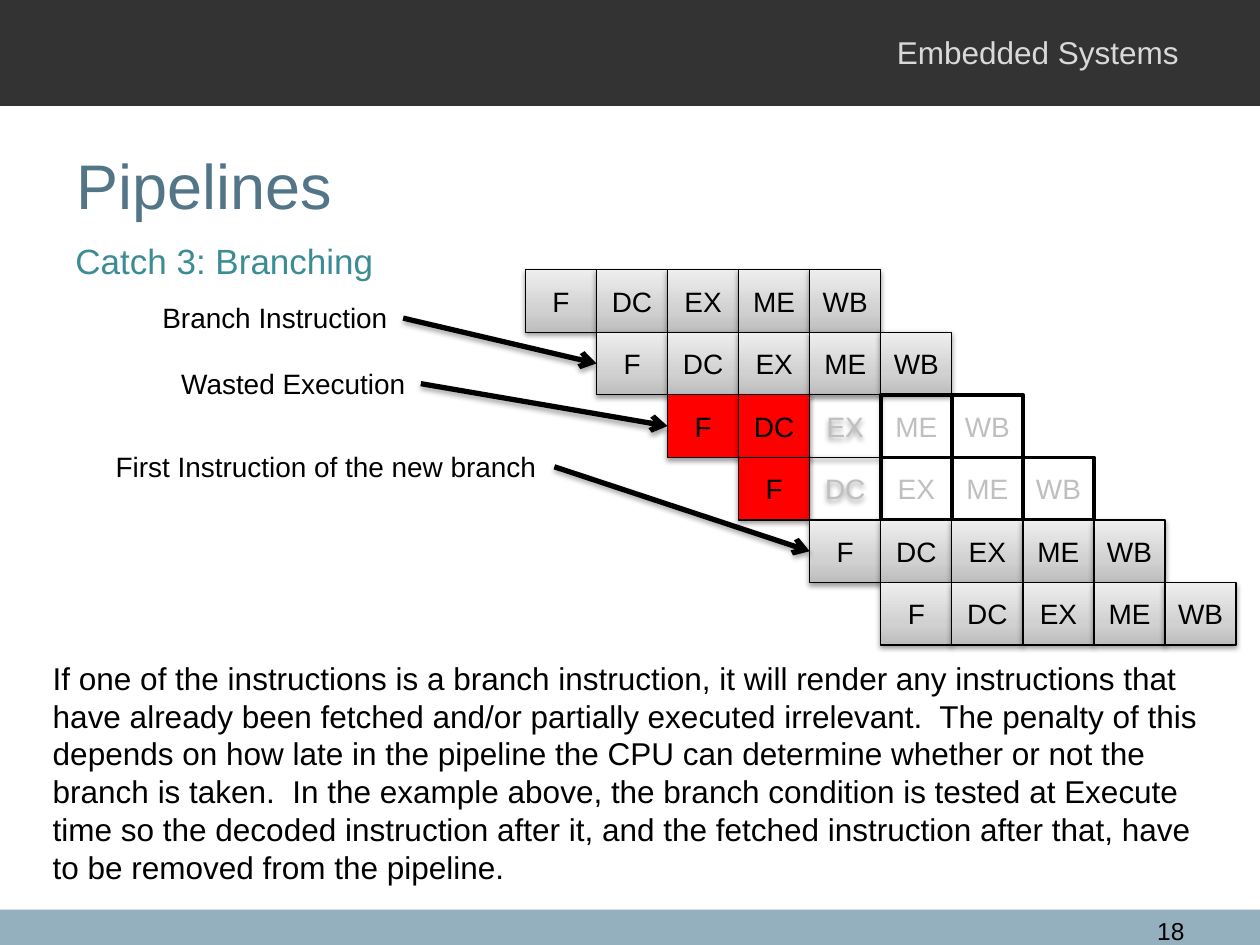
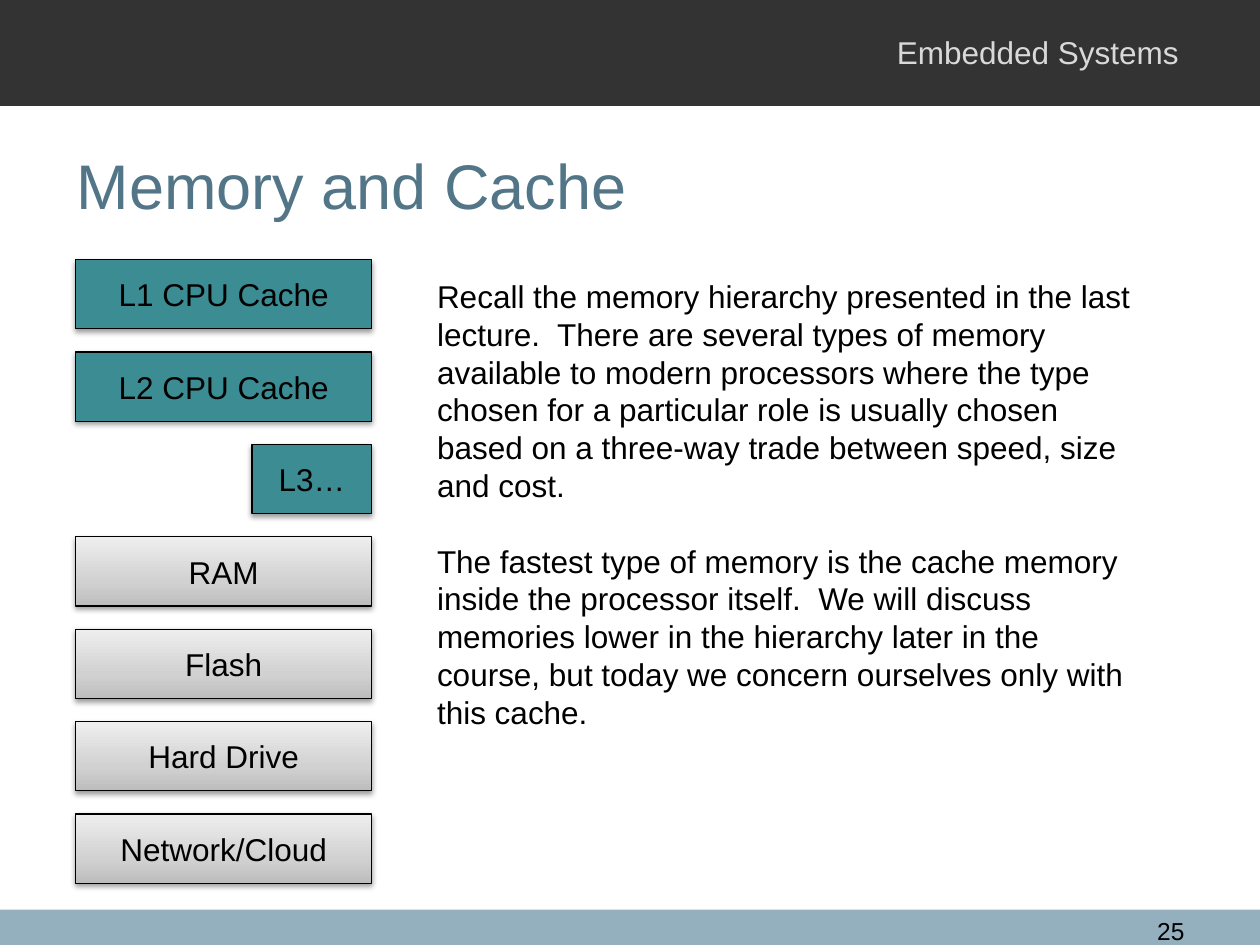
"""Build two lecture slides: pipeline branching and the memory hierarchy."""
from copy import deepcopy
from dataclasses import dataclass

from lxml import etree
from pptx import Presentation, util as u
from pptx.dml.color import RGBColor
from pptx.enum import shapes, text
from pptx.oxml.ns import qn


@dataclass(frozen=True)
class Theme:
    """Colours, type sizes and line widths shared by the slides."""
    font: str = "Arial"
    ink: str = "000000"
    faded: str = "BFBFBF"
    header: str = "333333"
    header_text: str = "D9D9D9"
    footer: str = "94B0BE"
    title: str = "527688"
    accent: str = "3C8C93"
    wasted: str = "FF0000"
    metal: tuple = ((0, "BDBDBD"), (0.35, "D1D1D1"), (1, "EEEEEE"))
    title_size: int = 36
    subtitle_size: int = 20
    body_size: int = 18
    label_size: int = 16
    number_size: int = 14
    thin: float = 0.75
    thick: float = 2
    arrow: float = 3


@dataclass(frozen=True)
class Box:
    """A rectangle measured in inches."""
    left: float
    top: float
    width: float
    height: float

    def emu(self):
        """Return the four lengths for python-pptx."""
        return [u.Inches(v) for v in (self.left, self.top, self.width, self.height)]


THEME = Theme()
STAGES = ("F", "DC", "EX", "ME", "WB")
WASTED_STAGES = {2: 2, 3: 1}
LABELS = (
    ("Branch Instruction", Box(1.19, 2.34, 2.01, 0.37), 1),
    ("Wasted Execution", Box(1.34, 2.86, 2, 0.37), 2),
    ("First Instruction of the new branch", Box(0.82, 3.52, 3.58, 0.37), 4),
)
MEMORIES = (
    ("L1 CPU Cache", THEME.accent, 2.35),
    ("L2 CPU Cache", THEME.accent, 2.35),
    ("L3…", THEME.accent, 0.95),
    ("RAM", THEME.metal, 2.35),
    ("Flash", THEME.metal, 2.35),
    ("Hard Drive", THEME.metal, 2.35),
    ("Network/Cloud", THEME.metal, 2.35),
)
BRANCH_TEXT = (
    "If one of the instructions is a branch instruction, it will render any "
    "instructions that have already been fetched and/or partially executed "
    "irrelevant.  The penalty of this depends on how late in the pipeline the CPU "
    "can determine whether or not the branch is taken.  In the example above, the "
    "branch condition is tested at Execute time so the decoded instruction after "
    "it, and the fetched instruction after that, have to be removed from the pipeline."
)
MEMORY_TEXT = (
    "Recall the memory hierarchy presented in the last lecture.  There are several "
    "types of memory available to modern processors where the type chosen for a "
    "particular role is usually chosen based on a three-way trade between speed, "
    "size and cost.",
    "The fastest type of memory is the cache memory inside the processor itself.  "
    "We will discuss memories lower in the hierarchy later in the course, but today "
    "we concern ourselves only with this cache.",
)


def write(shape, *lines, size=THEME.body_size, color=THEME.ink, align="LEFT",
          anchor="TOP", wrap=True, gap=0):
    """Fill a shape with one formatted paragraph for each line."""
    frame = shape.text_frame
    frame.word_wrap = wrap
    frame.auto_size = text.MSO_AUTO_SIZE.NONE
    frame.vertical_anchor = text.MSO_ANCHOR[anchor]
    for index, line in enumerate(lines):
        para = frame.add_paragraph() if index else frame.paragraphs[0]
        para.alignment = text.PP_ALIGN[align]
        para.space_before = u.Pt(gap if index else 0)
        span = para.add_run()
        span.text = line
        span.font.name = THEME.font
        span.font.size = u.Pt(size)
        span.font.color.rgb = RGBColor.from_string(color)


def add_text(page, box, *lines, **style):
    """Add a text box and return it."""
    shape = page.shapes.add_textbox(*box.emu())
    write(shape, *lines, **style)
    return shape


def paint(shape, fill):
    """Give a shape no fill, a plain colour or a vertical gradient."""
    if fill is None:
        shape.fill.background()
    elif isinstance(fill, str):
        shape.fill.solid()
        shape.fill.fore_color.rgb = RGBColor.from_string(fill)
    else:
        shape.fill.gradient()
        shape.fill.gradient_angle = 90
        stop_list = shape.element.spPr.find(qn("a:gradFill")).find(qn("a:gsLst"))
        stop_list.insert(1, deepcopy(stop_list[0]))
        for stop, (position, color) in zip(shape.fill.gradient_stops, fill):
            stop.position = position
            stop.color.rgb = RGBColor.from_string(color)


def cast_shadow(shape, alpha, distance):
    """Add a soft shadow below a shape or connector."""
    properties = shape.element.spPr
    effects = properties.find(qn("a:effectLst"))
    if effects is None:
        effects = etree.SubElement(properties, qn("a:effectLst"))
    shadow = etree.SubElement(
        effects, qn("a:outerShdw"), blurRad=str(u.Pt(3.1)), dist=str(u.Pt(distance)),
        dir="5400000", rotWithShape="0")
    color = etree.SubElement(shadow, qn("a:srgbClr"), val=THEME.ink)
    etree.SubElement(color, qn("a:alpha"), val=str(alpha * 1000))


def add_block(page, box, fill, line=None, shadow=False):
    """Add a rectangle with its fill, outline and shadow."""
    shape = page.shapes.add_shape(shapes.MSO_SHAPE.RECTANGLE, *box.emu())
    paint(shape, fill)
    if line is None:
        shape.line.fill.background()
    else:
        shape.line.color.rgb = RGBColor.from_string(THEME.ink)
        shape.line.width = u.Pt(line)
    shape.shadow.inherit = False
    if shadow:
        cast_shadow(shape, 38, 1.6)
    return shape


def add_arrow(page, label, target):
    """Join the right side of a label to the left side of its target."""
    arrow = page.shapes.add_connector(shapes.MSO_CONNECTOR.STRAIGHT, 0, 0, 0, 0)
    arrow.begin_connect(label, 3)
    arrow.end_connect(target, 1)
    arrow.line.color.rgb = RGBColor.from_string(THEME.ink)
    arrow.line.width = u.Pt(THEME.arrow)
    etree.SubElement(arrow.element.spPr.find(qn("a:ln")), qn("a:tailEnd"), type="arrow")
    cast_shadow(arrow, 35, 1.8)


def add_page(deck, title, number):
    """Add a title-only slide with the shared bands, header and number."""
    page = deck.slides.add_slide(deck.slide_layouts[5])
    add_block(page, Box(0, 7.22, 10, 0.28), THEME.footer)
    add_block(page, Box(0, 0, 10, 0.84), THEME.header)
    add_text(page, Box(7.02, 0.21, 2.5, 0.4), "Embedded Systems", color=THEME.header_text)
    heading = page.shapes.title
    heading.left, heading.top, heading.width, heading.height = Box(0.51, 0.84, 9, 1.25).emu()
    write(heading, title, size=THEME.title_size, color=THEME.title, anchor="MIDDLE")
    add_text(page, Box(8.86, 7.22, 0.64, 0.24), str(number),
             size=THEME.number_size, align="RIGHT")
    return page


def stage_style(row, column):
    """Return fill, text colour, line width and shadow of a pipeline stage."""
    wasted = WASTED_STAGES.get(row)
    if wasted is None:
        return THEME.metal, THEME.ink, THEME.thin, True
    if column < wasted:
        return THEME.wasted, THEME.ink, THEME.thin, True
    if column == wasted:
        return None, THEME.faded, THEME.thin, True
    return None, THEME.faded, THEME.thick, False


def add_pipeline(page, box, rows):
    """Draw the staggered stages and return the first stage of each row."""
    width = box.width / (rows + len(STAGES) - 1)
    height = box.height / rows
    starts = []
    for row in range(rows):
        for column, name in enumerate(STAGES):
            fill, color, line, shadow = stage_style(row, column)
            place = Box(box.left + (row + column) * width, box.top + row * height,
                        width, height)
            stage = add_block(page, place, fill, line, shadow)
            write(stage, name, size=THEME.label_size, color=color,
                  align="CENTER", anchor="MIDDLE", wrap=False)
            if column == 0:
                starts.append(stage)
    return starts


def add_memory_stack(page, box, height):
    """Stack the memory types evenly, aligned to the right of the box."""
    step = (box.height - height) / (len(MEMORIES) - 1)
    for index, (name, fill, width) in enumerate(MEMORIES):
        place = Box(box.left + box.width - width, box.top + index * step, width, height)
        block = add_block(page, place, fill, THEME.thin, True)
        write(block, name, align="CENTER", anchor="MIDDLE")


def add_branching_page(deck):
    """Build the slide on branching in a pipeline."""
    page = add_page(deck, "Pipelines", 18)
    add_text(page, Box(0.5, 1.85, 9, 0.49), "Catch 3: Branching",
             size=THEME.subtitle_size, color=THEME.accent)
    starts = add_pipeline(page, Box(4.17, 2.14, 5.64, 2.98), 6)
    for caption, box, row in LABELS:
        label = add_text(page, box, caption, size=THEME.label_size, wrap=False)
        add_arrow(page, label, starts[row])
    add_text(page, Box(0.32, 5.18, 9.32, 1.92), BRANCH_TEXT)


def add_memory_page(deck):
    """Build the slide on the memory hierarchy."""
    page = add_page(deck, "Memory and Cache", 25)
    add_text(page, Box(3.37, 2.15, 5.81, 3.74), *MEMORY_TEXT, gap=21.6)
    add_memory_stack(page, Box(0.6, 2.06, 2.35, 4.95), 0.55)


def main():
    """Build and save the deck."""
    deck = Presentation()
    deck.slide_width, deck.slide_height = u.Inches(10), u.Inches(7.5)
    add_branching_page(deck)
    add_memory_page(deck)
    deck.save("out.pptx")


if __name__ == "__main__":
    main()
